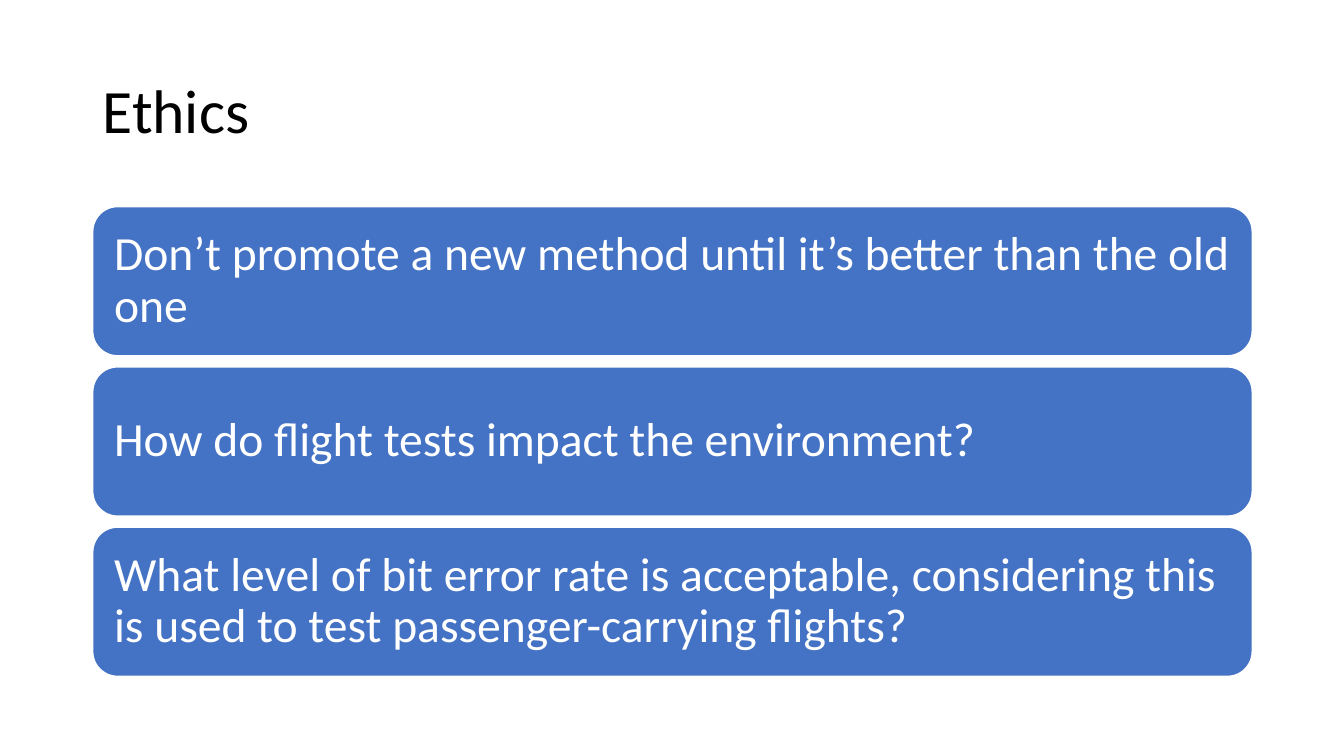
import pptx
import pptx.dml.color
import pptx.enum.shapes
import pptx.enum.text
import pptx.util
from pptx.util import Inches

LEFT, WIDTH = 0.92, 11.5
CARD_TOP, CARD_HEIGHT, CARD_GAP = 2.05, 1.48, 0.11
QUESTIONS = [
    "Don’t promote a new method until it’s better than the old one",
    "How do flight tests impact the environment?",
    "What level of bit error rate is acceptable, considering this is used to test passenger-carrying flights?",
]


def color(value):
    return pptx.dml.color.RGBColor.from_string(value)


class Page:
    font = "Calibri"
    black, white, blue = "000000", "FFFFFF", "4472C4"

    def __init__(self, deck):
        self.slide = deck.slides.add_slide(deck.slide_layouts[6])

    def set_text(self, box, text, size, ink):
        """Set left-aligned, vertically centred text in a box."""
        frame = box.text_frame
        frame.word_wrap = True
        frame.vertical_anchor = pptx.enum.text.MSO_ANCHOR.MIDDLE
        para = frame.paragraphs[0]
        para.text = text
        para.alignment = pptx.enum.text.PP_ALIGN.LEFT
        para.line_spacing = 0.9
        para.font.name = self.font
        para.font.size = pptx.util.Pt(size)
        para.font.color.rgb = color(ink)
        return frame

    def title(self, text):
        box = self.slide.shapes.add_textbox(
            Inches(LEFT), Inches(0.4), Inches(WIDTH), Inches(1.45))
        self.set_text(box, text, 44, self.black)

    def card(self, top, text):
        box = self.slide.shapes.add_shape(
            pptx.enum.shapes.MSO_SHAPE.ROUNDED_RECTANGLE,
            Inches(LEFT), Inches(top), Inches(WIDTH), Inches(CARD_HEIGHT))
        box.shadow.inherit = False
        box.fill.solid()
        box.fill.fore_color.rgb = color(self.blue)
        box.line.color.rgb = color(self.white)
        box.line.width = pptx.util.Pt(1)
        frame = self.set_text(box, text, 34, self.white)
        frame.margin_left = frame.margin_right = Inches(0.14)
        frame.margin_top = frame.margin_bottom = Inches(0.14)


def main():
    deck = pptx.Presentation()
    deck.slide_width, deck.slide_height = Inches(13.33), Inches(7.5)
    page = Page(deck)
    page.title("Ethics")
    for index, question in enumerate(QUESTIONS):
        page.card(CARD_TOP + index * (CARD_HEIGHT + CARD_GAP), question)
    deck.save("out.pptx")


if __name__ == "__main__":
    main()
